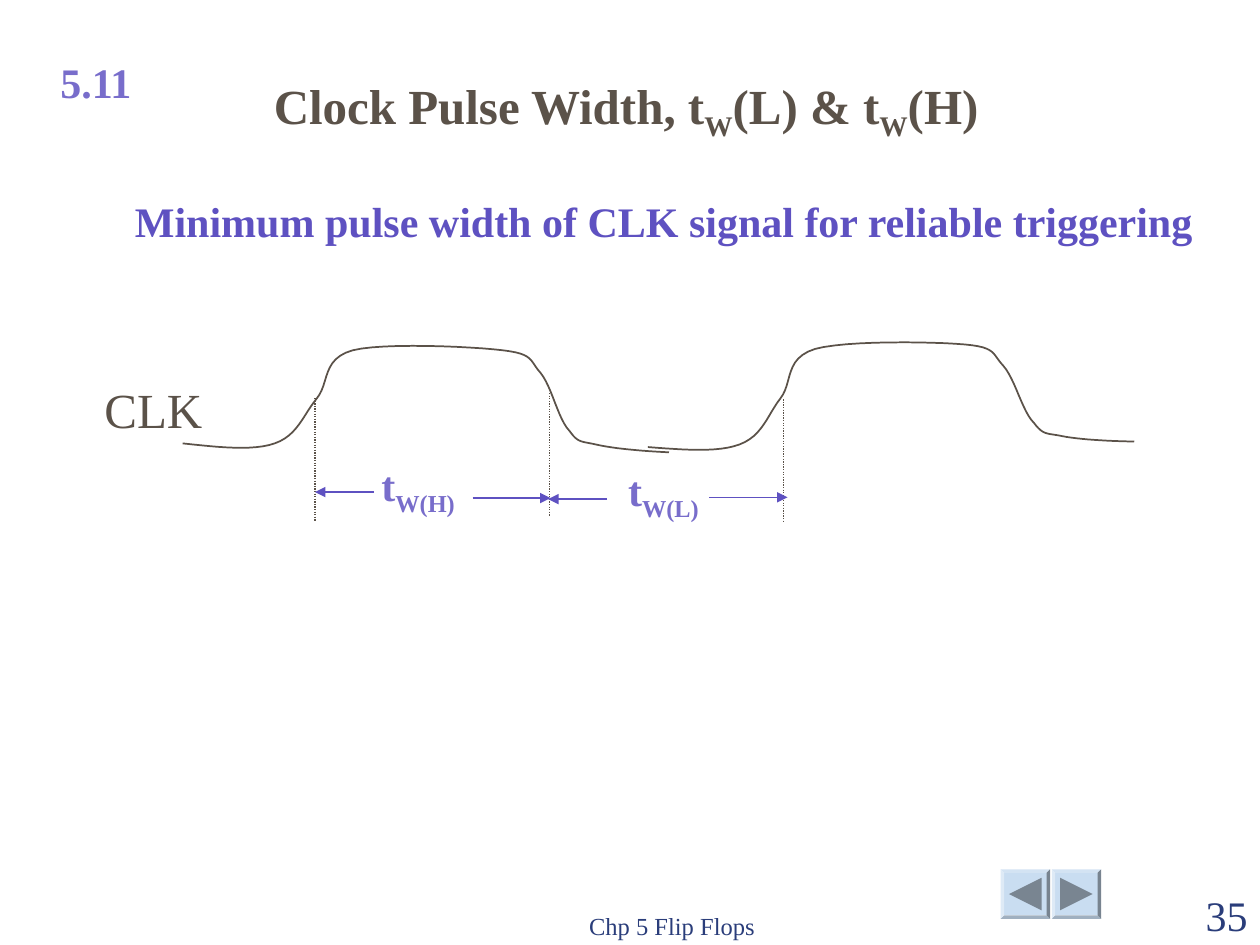
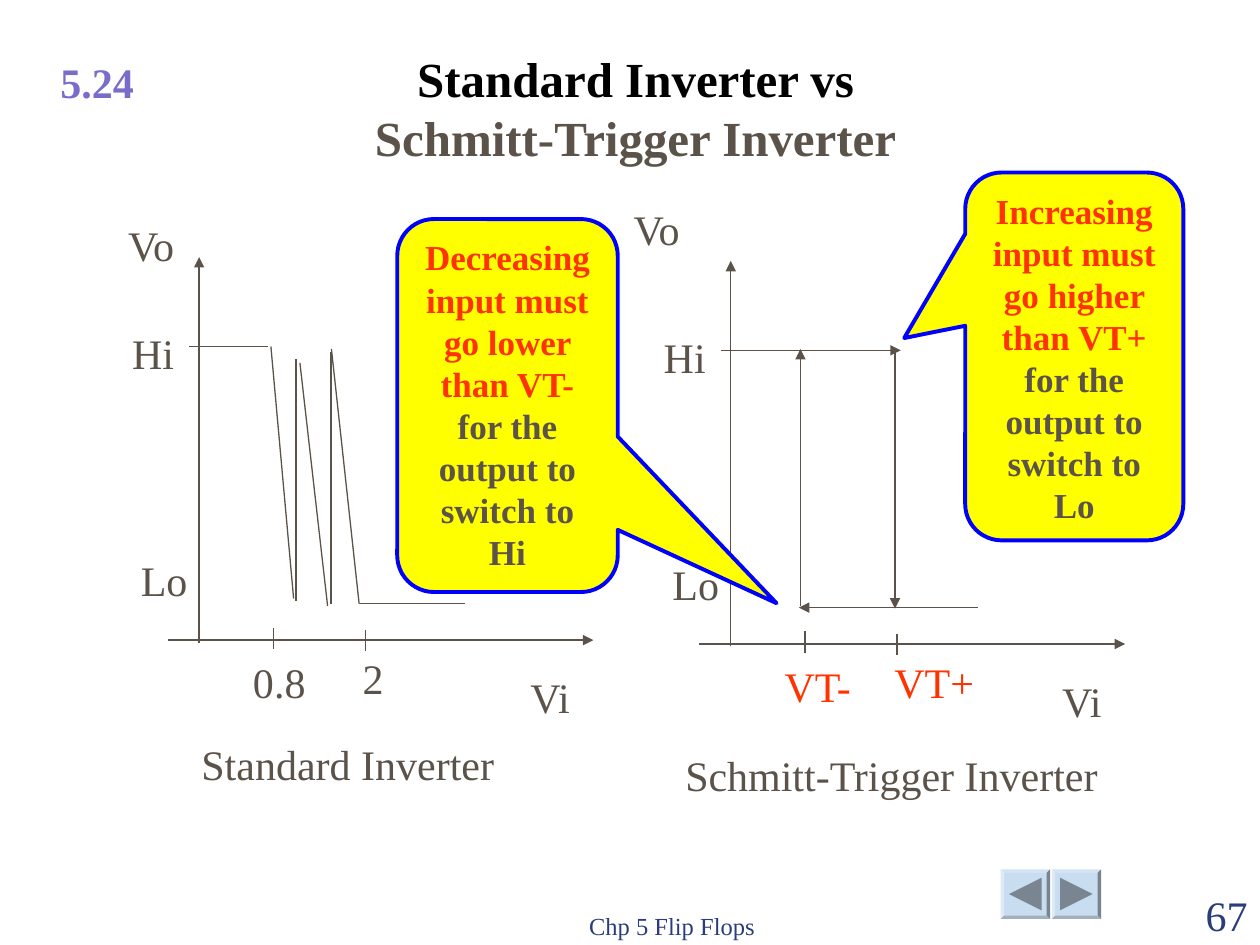
from dataclasses import dataclass
from typing import NamedTuple

from lxml import etree
from pptx import Presentation
from pptx.dml.color import RGBColor
from pptx.enum.dml import MSO_LINE_DASH_STYLE as Dash
from pptx.enum.shapes import MSO_CONNECTOR as Connector, MSO_SHAPE as Preset
from pptx.enum.text import MSO_ANCHOR as Anchor, PP_ALIGN as Align
from pptx.oxml.ns import qn
from pptx.slide import Slide
from pptx.text.text import TextFrame
from pptx.util import Pt

FONT = "Times New Roman"
COLORS = {
    "ink": "5B5249", "black": "000000", "section": "786DCB", "accent": "5E51C1",
    "footer": "2A3D7A", "alert": "FF3300", "callout": "FFFF00", "border": "0000FF",
    "button": "C9DDF1", "button_arrow": "798591",
}


class Piece(NamedTuple):
    """A stretch of text; an empty color keeps that of the paragraph."""
    text: str
    color: str = ""
    subscript: bool = False


@dataclass
class Label:
    left: float
    top: float
    width: float
    height: float
    pieces: list[Piece]
    size: float = 24
    color: str = "ink"
    bold: bool = False
    align: Align = Align.LEFT
    anchor: Anchor = Anchor.TOP


@dataclass
class Line:
    x1: float
    y1: float
    x2: float
    y2: float
    arrow: bool = False
    color: str = "ink"
    dotted: bool = False


@dataclass
class Callout:
    left: float
    top: float
    width: float
    height: float
    pointer: tuple[float, float]
    pieces: list[Piece]


def rgb(name: str) -> RGBColor:
    return RGBColor.from_string(COLORS[name])


# Drawing helpers
def write(frame: TextFrame, pieces: list[Piece], size: float, color: str,
          bold: bool, align: Align) -> None:
    frame.word_wrap = True
    paragraph = frame.paragraphs[0]
    paragraph.alignment = align
    font = paragraph.font
    font.name, font.size, font.bold = FONT, Pt(size), bold
    font.color.rgb = rgb(color)
    for piece in pieces:
        run = paragraph.add_run()
        run.text = piece.text
        if piece.color:
            run.font.color.rgb = rgb(piece.color)
        if piece.subscript:
            run._r.get_or_add_rPr().set("baseline", "-25000")


def draw_label(slide: Slide, label: Label) -> None:
    box = slide.shapes.add_textbox(Pt(label.left), Pt(label.top),
                                   Pt(label.width), Pt(label.height))
    box.text_frame.vertical_anchor = label.anchor
    write(box.text_frame, label.pieces, label.size, label.color, label.bold, label.align)


def draw_line(slide: Slide, line: Line) -> None:
    connector = slide.shapes.add_connector(
        Connector.STRAIGHT, Pt(line.x1), Pt(line.y1), Pt(line.x2), Pt(line.y2))
    connector.line.color.rgb = rgb(line.color)
    connector.line.width = Pt(0.75)
    if line.dotted:
        connector.line.dash_style = Dash.ROUND_DOT
    if line.arrow:
        etree.SubElement(connector.line._get_or_add_ln(), qn("a:tailEnd"), type="triangle")
    etree.SubElement(connector._element.spPr, qn("a:effectLst"))


def draw_callout(slide: Slide, callout: Callout) -> None:
    shape = slide.shapes.add_shape(
        Preset.ROUNDED_RECTANGULAR_CALLOUT, Pt(callout.left), Pt(callout.top),
        Pt(callout.width), Pt(callout.height))
    shape.shadow.inherit = False
    shape.adjustments[0], shape.adjustments[1] = callout.pointer
    shape.fill.solid()
    shape.fill.fore_color.rgb = rgb("callout")
    shape.line.color.rgb = rgb("border")
    shape.line.width = Pt(2.25)
    shape.text_frame.vertical_anchor = Anchor.TOP
    write(shape.text_frame, callout.pieces, 20, "ink", True, Align.CENTER)


# Parts every slide shares
def draw_button(slide: Slide, left: float, rotation: float) -> None:
    top, side, arrow_side = 496.8, 28.2, 18.6
    inset = (side - arrow_side) / 2
    for preset, x, y, extent, color in (
            (Preset.BEVEL, left, top, side, "button"),
            (Preset.ISOSCELES_TRIANGLE, left + inset, top + inset, arrow_side, "button_arrow")):
        shape = slide.shapes.add_shape(preset, Pt(x), Pt(y), Pt(extent), Pt(extent))
        shape.shadow.inherit = False
        shape.fill.solid()
        shape.fill.fore_color.rgb = rgb(color)
        shape.line.fill.background()
        if preset == Preset.BEVEL:
            shape.adjustments[0] = 0.07
        else:
            shape.rotation = rotation


def add_slide(presentation: Presentation, section: str, number: str) -> Slide:
    slide = presentation.slides.add_slide(presentation.slide_layouts[6])
    draw_button(slide, 571.8, -90)
    draw_button(slide, 601, 90)
    draw_label(slide, Label(27.4, 28.8, 80, 36, [Piece(section)], color="section", bold=True))
    for left, width, text, size, align in (
            (270, 228, "Chp 5 Flip Flops", 14, Align.CENTER),
            (648, 72, number, 24, Align.RIGHT)):
        draw_label(slide, Label(left, 504.7, width, 36, [Piece(text)], size, "footer",
                                align=align, anchor=Anchor.BOTTOM))
    return slide


def draw_title(slide: Slide, left: float, top: float, width: float, height: float,
               pieces: list[Piece]) -> None:
    draw_label(slide, Label(left, top, width, height, pieces, 28, bold=True,
                            align=Align.CENTER))


# Clock pulse: start point, then cubic curves as (control, control, end)
PULSE_START = (104.4, 253.4)
PULSE_CURVES = [
    ((124.6, 255.6), (144.7, 257.8), (157, 253.4)),
    ((169.9, 249.1), (173.5, 236.9), (180.7, 228.2)),
    ((188.6, 218.9), (183.6, 205.2), (201.6, 200.2)),
    ((218.9, 195.8), (269.3, 198), (287.3, 200.2)),
    ((305.3, 202.3), (302.4, 205.9), (308.9, 213.1)),
    ((315.4, 221), (319, 239.8), (325.4, 246.2)),
    ((330.5, 253.4), (331.9, 252), (341.3, 254.2)),
    ((350.6, 256.3), (366.5, 257.8), (382.3, 258.5)),
]


def pulse_points(steps: int = 12) -> list[tuple[float, float]]:
    points = [PULSE_START]
    for first, second, end in PULSE_CURVES:
        start = points[-1]
        for step in range(1, steps + 1):
            t = step / steps
            u = 1 - t
            points.append(tuple(
                u**3 * a + 3 * u * u * t * b + 3 * u * t * t * c + t**3 * d
                for a, b, c, d in zip(start, first, second, end)))
    return points


def draw_pulse(slide: Slide, dx: float, dy: float, rotation: float) -> None:
    points = [(Pt(x + dx), Pt(y + dy)) for x, y in pulse_points()]
    builder = slide.shapes.build_freeform(*points[0])
    builder.add_line_segments(points[1:], close=False)
    shape = builder.convert_to_shape()
    shape.shadow.inherit = False
    shape.fill.background()
    shape.line.color.rgb = rgb("ink")
    shape.line.width = Pt(1)
    shape.rotation = rotation


def build_pulse_slide(presentation: Presentation) -> None:
    slide = add_slide(presentation, "5.11", "35")
    draw_pulse(slide, 0, 0, 0)
    draw_pulse(slide, 265, -2, -1.7)

    # Edge markers and width arrows
    for x, top in ((180, 227.5), (314, 224.6), (447.8, 228.2)):
        draw_line(slide, Line(x, top, x, top + 70.5, dotted=True))
    for start, end, y in ((213.8, 180, 281.2), (347, 313.2, 285.2),
                          (270, 314.6, 284.6), (405.4, 450, 284.2)):
        draw_line(slide, Line(start, y, end, y, arrow=True, color="accent"))
    for left, top, level in ((199, 259.2, "W(H)"), (339.2, 262.1, "W(L)")):
        draw_label(slide, Label(left, top, 80, 40, [Piece("t"), Piece(level, subscript=True)],
                                color="section", bold=True, align=Align.CENTER))

    draw_label(slide, Label(52.6, 213.4, 80, 41, [Piece("CLK")], 28))
    width_sign = Piece("W", subscript=True)
    draw_title(slide, 137.8, 39.6, 440, 45.4,
               [Piece("Clock Pulse Width, t"), width_sign, Piece("(L) & t"), width_sign,
                Piece("(H)")])
    draw_label(slide, Label(
        69.8, 108, 619.2, 64.8,
        [Piece("Minimum pulse width of CLK signal for reliable triggering")],
        color="accent", bold=True, align=Align.CENTER))


# Transfer curves of the two inverters
def draw_graph(slide: Slide, dx: float, dy: float, thresholds: tuple[str, str],
               threshold_color: str, hi_end: float) -> None:
    for line in (Line(113.8, 367.2, 113.8, 146.9, arrow=True),
                 Line(95.8, 365.8, 339.1, 365.8, arrow=True),
                 Line(156.2, 358.6, 156.2, 370.8),
                 Line(208.8, 360, 208.8, 372.2),
                 Line(108, 198, hi_end, 198, arrow=hi_end > 200)):
        draw_line(slide, Line(line.x1 + dx, line.y1 + dy, line.x2 + dx, line.y2 + dy, line.arrow))
    low, high = thresholds
    for left, top, text, color in (
            (296, 380.2, "Vi", "ink"), (68.4, 183.6, "Hi", "ink"), (73.4, 313.2, "Lo", "ink"),
            (137.5, 371.5, low, threshold_color), (200.2, 369.4, high, threshold_color)):
        draw_label(slide, Label(left + dx, top + dy, 64, 36, [Piece(text)], color=color))


def build_inverter_slide(presentation: Presentation) -> None:
    slide = add_slide(presentation, "5.24", "67")
    draw_graph(slide, 0, 0, ("0.8", "2"), "ink", 153.4)
    draw_graph(slide, 303.8, 2.2, ("VT-", "VT+"), "alert", 211)
    for left, top, width, text in ((66.2, 121.7, 46, "Vo"), (355, 113, 46, "Vo"),
                                   (108, 418.3, 201, "Standard Inverter"),
                                   (384.5, 424.8, 274.3, "Schmitt-Trigger Inverter")):
        draw_label(slide, Label(left, top, width, 36, [Piece(text)]))

    # Standard inverter: bouncing output
    for ends in ((154.8, 198, 167.8, 342), (169.2, 343.4, 169.2, 205.2),
                 (171.4, 207.4, 187.2, 346.3), (189.2, 344.9, 189.2, 200.9),
                 (189.4, 199.4, 205.2, 344.9), (205.2, 344.9, 265.7, 344.9)):
        draw_line(slide, Line(*ends))
    # Schmitt trigger: hysteresis loop
    for ends in ((558.7, 347.2, 456.5, 347.2), (511.4, 199.4, 511.4, 347.8),
                 (457.4, 346.3, 457.4, 199.4)):
        draw_line(slide, Line(*ends, arrow=True))

    draw_title(slide, 177.1, 24, 372.2, 75,
               [Piece("Standard Inverter vs ", "black"), Piece("Schmitt-Trigger Inverter")])
    for callout in (
            Callout(227, 125.2, 126, 213.1, (1.22, 0.53),
                    [Piece("Decreasing input must go lower than VT-", "alert"),
                     Piece(" for the output to switch to Hi")]),
            Callout(551.6, 98.6, 124.6, 210.2, (-0.78, -0.05),
                    [Piece("Increasing input must go higher than VT+", "alert"),
                     Piece(" for the output to switch to Lo")])):
        draw_callout(slide, callout)


def main() -> None:
    presentation = Presentation()
    presentation.slide_width, presentation.slide_height = Pt(720), Pt(540)
    build_pulse_slide(presentation)
    build_inverter_slide(presentation)
    presentation.save("out.pptx")


if __name__ == "__main__":
    main()
